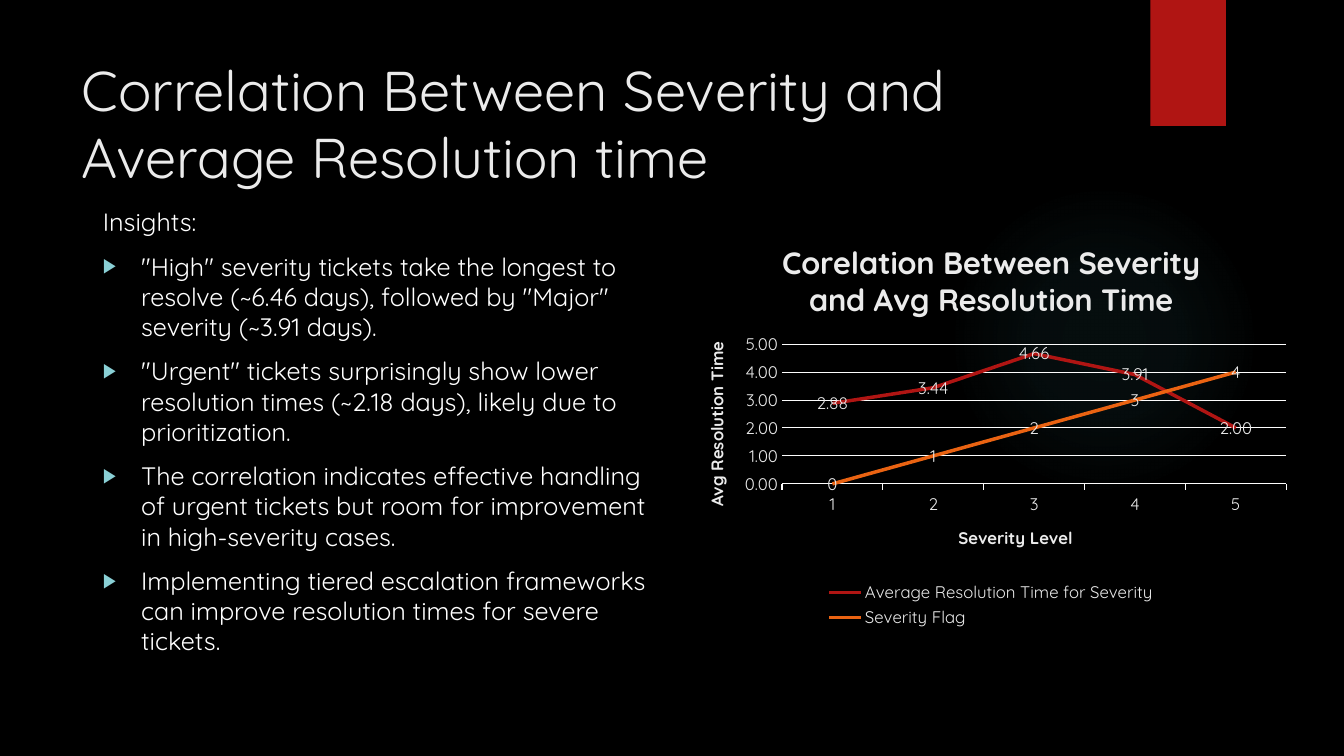
from lxml import etree
from pptx import Presentation
from pptx.chart.data import CategoryChartData
from pptx.dml.color import RGBColor
from pptx.enum.chart import (XL_CHART_TYPE, XL_LABEL_POSITION,
                             XL_LEGEND_POSITION, XL_TICK_MARK)
from pptx.enum.shapes import MSO_SHAPE
from pptx.enum.text import MSO_ANCHOR, MSO_AUTO_SIZE, PP_ALIGN
from pptx.oxml import parse_xml
from pptx.oxml.ns import nsdecls, qn
from pptx.util import Pt

PX = 9144  # 100 px to the inch
FONT = "Quicksand"
BLACK = RGBColor(0, 0, 0)
WHITE = RGBColor(0xFF, 0xFF, 0xFF)
PALE = RGBColor(0xEB, 0xEB, 0xEB)
GRID = RGBColor(0xFC, 0xFC, 0xFC)
RED = RGBColor(0xB0, 0x15, 0x13)
ORANGE = RGBColor(0xEA, 0x63, 0x12)
AQUA = RGBColor(0x8A, 0xD0, 0xD6)
TEAL = RGBColor(0x50, 0xB9, 0xC1)

TITLE = "Correlation Between Severity and Average Resolution time"
POINTS = [
    '"High" severity tickets take the longest to resolve (~6.46 days), '
    'followed by "Major" severity (~3.91 days).',
    '"Urgent" tickets surprisingly show lower resolution times (~2.18 days), '
    'likely due to prioritization.',
    'The correlation indicates effective handling of urgent tickets but room '
    'for improvement in high-severity cases.',
    'Implementing tiered escalation frameworks can improve resolution times '
    'for severe tickets.',
]
HEADING = "Corelation Between Severity and Avg Resolution Time"
LEVELS = ["1", "2", "3", "4", "5"]
SERIES = [
    ("Average Resolution Time for Severity", [2.88, 3.44, 4.66, 3.91, 2], RED, "0.00"),
    ("Severity Flag", [0, 1, 2, 3, 4], ORANGE, "General"),
]


def style(font, size=12, color=PALE, bold=False):
    font.name, font.size, font.bold = FONT, Pt(size), bold
    font.color.rgb = color


def write(para, text, **form):
    run = para.add_run()
    run.text = text
    style(run.font, **form)


def stroke(line, color, width):
    line.color.rgb = color
    line.width = Pt(width)


class Deck:
    def __init__(self, wide, high):
        self.file = Presentation()
        self.file.slide_width, self.file.slide_height = wide * PX, high * PX
        self.slide = self.file.slides.add_slide(self.file.slide_layouts[1])
        fill = self.slide.background.fill
        fill.solid()
        fill.fore_color.rgb = BLACK

    def shape(self, kind, box, color):
        """Add a plain shape behind the text."""
        tree = self.slide.shapes
        item = tree.add_shape(kind, *(n * PX for n in box))
        item.shadow.inherit = False
        item.fill.solid()
        item.fill.fore_color.rgb = color
        item.line.fill.background()
        tree[0].element.addprevious(item.element)
        return item

    def glow(self, box, color, stops):
        """Add an ellipse that fades outwards; stops are (place, alpha) in percent."""
        item = self.shape(MSO_SHAPE.OVAL, box, color)
        marks = "".join(
            f'<a:gs pos="{place * 1000}"><a:srgbClr val="{color}">'
            f'<a:alpha val="{alpha * 1000}"/></a:srgbClr></a:gs>'
            for place, alpha in stops)
        fade = parse_xml(
            f'<a:gradFill {nsdecls("a")}><a:gsLst>{marks}</a:gsLst><a:path path="circle">'
            '<a:fillToRect l="50000" t="50000" r="50000" b="50000"/></a:path></a:gradFill>')
        props = item.element.spPr
        props.replace(props.find(qn("a:solidFill")), fade)

    def frame(self, index, box):
        """Place a template placeholder and return its text frame."""
        item = self.slide.placeholders[index]
        item.left, item.top, item.width, item.height = (n * PX for n in box)
        frame = item.text_frame
        frame.word_wrap = True
        frame.auto_size = MSO_AUTO_SIZE.NONE
        frame.vertical_anchor = MSO_ANCHOR.TOP
        return frame

    def title(self, text, box):
        para = self.frame(0, box).paragraphs[0]
        para.alignment = PP_ALIGN.LEFT
        write(para, text, size=40)

    def list(self, lead, points, box):
        frame = self.frame(1, box)
        for row, text in enumerate([lead, *points]):
            para = frame.add_paragraph() if row else frame.paragraphs[0]
            para.space_before = Pt(10)
            write(para, text, size=18, color=WHITE)
            self.bullet(para, 38 if row else 0)

    def bullet(self, para, indent):
        """Hang a triangle at the indent, or clear the bullet when it is 0."""
        props = para._p.get_or_add_pPr()
        props.set("marL", str(indent * PX))
        props.set("indent", str(-indent * PX))
        if not indent:
            etree.SubElement(props, qn("a:buNone"))
            return
        tint = etree.SubElement(props, qn("a:buClr"))
        etree.SubElement(tint, qn("a:srgbClr"), val=str(AQUA))
        etree.SubElement(props, qn("a:buSzPct"), val="80000")
        etree.SubElement(props, qn("a:buFont"), typeface="Arial")
        etree.SubElement(props, qn("a:buChar"), char="▶")

    def chart(self, heading, levels, series, box):
        data = CategoryChartData()
        data.categories = levels
        for name, values, _, code in series:
            data.add_series(name, values, code)
        chart = self.slide.shapes.add_chart(
            XL_CHART_TYPE.LINE, *(n * PX for n in box), data).chart
        style(chart.font, size=10, color=WHITE)
        chart.has_title = True
        write(chart.chart_title.text_frame.paragraphs[0], heading, size=22, bold=True)
        chart.chart_title.include_in_layout = False
        chart.has_legend = True
        chart.legend.position = XL_LEGEND_POSITION.BOTTOM
        chart.legend.include_in_layout = False
        style(chart.legend.font)

        plot = chart.plots[0]
        plot.vary_by_categories = False
        for line, (_, _, color, code) in zip(plot.series, series):
            line.smooth = False
            stroke(line.format.line, color, 2.5)
            self.labels(line.data_labels, code)
        self.axis(chart.category_axis, "Severity Level")
        self.axis(chart.value_axis, "Avg Resolution Time")
        self.scale(chart.value_axis)
        stroke(chart.category_axis.format.line, GRID, 0.75)
        chart.category_axis.major_tick_mark = XL_TICK_MARK.OUTSIDE
        self.inner(chart, x=0.16, y=0.3, w=0.82, h=0.34)

    def labels(self, labels, code):
        labels.show_value = True
        labels.position = XL_LABEL_POSITION.CENTER
        labels.number_format = code
        labels.number_format_is_linked = False
        style(labels.font)

    def axis(self, axis, name):
        axis.has_title = True
        write(axis.axis_title.text_frame.paragraphs[0], name, bold=True)
        style(axis.tick_labels.font)
        axis.major_tick_mark = axis.minor_tick_mark = XL_TICK_MARK.NONE

    def scale(self, axis):
        axis.minimum_scale, axis.maximum_scale, axis.major_unit = 0, 5, 1
        axis.tick_labels.number_format = "0.00"
        axis.tick_labels.number_format_is_linked = False
        axis.format.line.fill.background()
        axis.has_major_gridlines = True
        stroke(axis.major_gridlines.format.line, GRID, 0.75)

    def inner(self, chart, **parts):
        """Fix the plot area as shares of the chart."""
        area = chart.element.find(".//" + qn("c:plotArea"))
        for old in area.findall(qn("c:layout")):
            area.remove(old)
        sizes = "".join(f'<c:{key} val="{val}"/>' for key, val in parts.items())
        area.insert(0, parse_xml(
            f'<c:layout {nsdecls("c")}><c:manualLayout><c:layoutTarget val="inner"/>'
            f'<c:xMode val="edge"/><c:yMode val="edge"/>{sizes}'
            '</c:manualLayout></c:layout>'))


def main():
    deck = Deck(1333, 750)
    deck.glow((941, 183, 308, 308), TEAL, [(0, 7), (36, 6), (69, 0)])
    deck.shape(MSO_SHAPE.RECTANGLE, (1141, 0, 75, 125), RED)
    deck.title(TITLE, (71, 50, 1029, 153))
    deck.list("Insights:", POINTS, (92, 200, 575, 476))
    deck.chart(HEADING, LEVELS, SERIES, (678, 219, 610, 408))
    deck.file.save("out.pptx")


if __name__ == "__main__":
    main()
